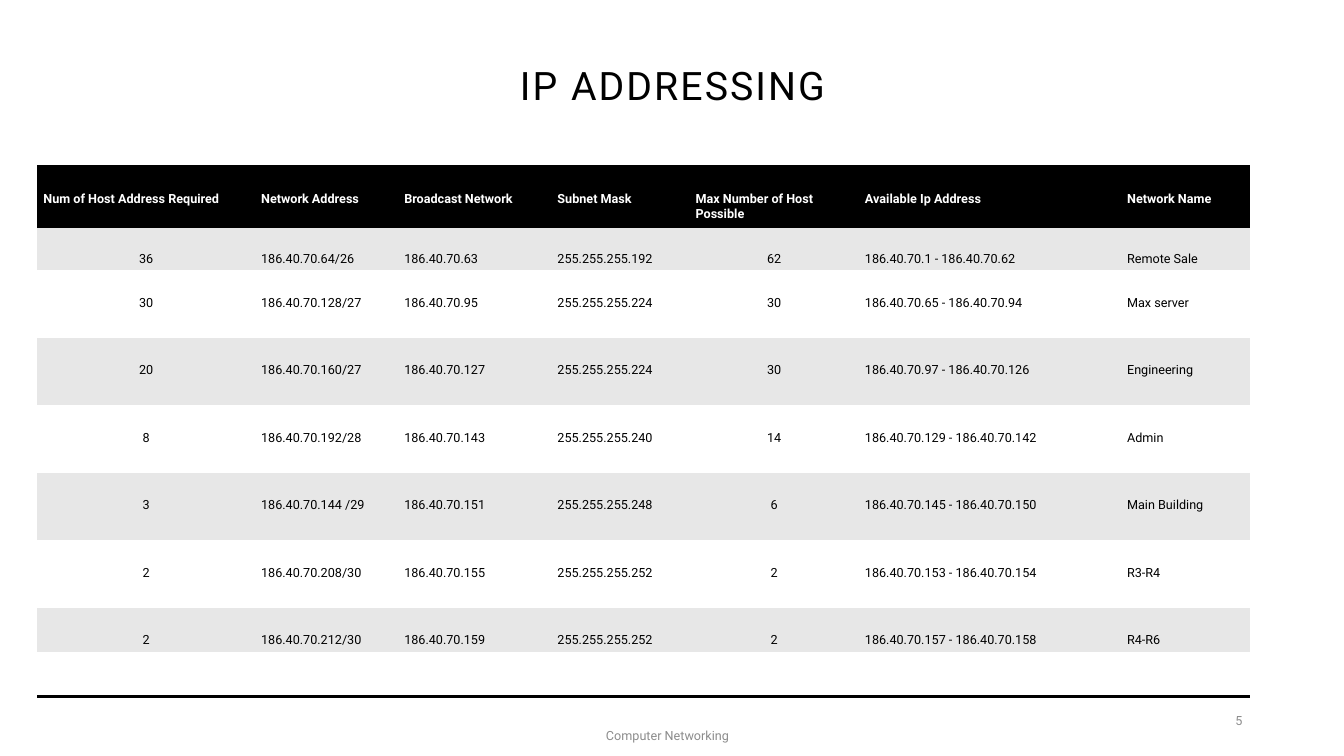
from dataclasses import astuple, dataclass

from lxml import etree
from pptx import Presentation
from pptx import util as u
from pptx.dml.color import RGBColor
from pptx.enum import text as t
from pptx.oxml.ns import qn
from pptx.slide import Slide
from pptx.table import _Cell
from pptx.text.text import TextFrame

FONT = "Roboto"
COLORS = {
    "black": "000000",
    "white": "FFFFFF",
    "band": "E7E7E7",
    "footer": "8C8C8C",
}
PLAIN_TABLE_STYLE = "{2D5ABB26-0587-4C30-8999-92F81FD0307C}"
LEFT, CENTER, RIGHT = t.PP_ALIGN.LEFT, t.PP_ALIGN.CENTER, t.PP_ALIGN.RIGHT


@dataclass
class Column:
    heading: str
    width: float
    alignment: t.PP_ALIGN = LEFT


@dataclass
class Subnet:
    hosts_required: str
    network: str
    broadcast: str
    mask: str
    hosts_possible: str
    available: str
    name: str


@dataclass
class FooterText:
    words: str
    left: float
    top: float
    width: float
    alignment: t.PP_ALIGN


COLUMNS = [
    Column("Num of Host Address Required", 2.16, CENTER),
    Column("Network Address", 1.42),
    Column("Broadcast Network", 1.52),
    Column("Subnet Mask", 1.37),
    Column("Max Number of Host Possible", 1.68, CENTER),
    Column("Available Ip Address", 2.6),
    Column("Network Name", 1.28),
]
SUBNETS = [
    Subnet("36", "186.40.70.64/26", "186.40.70.63", "255.255.255.192", "62",
           "186.40.70.1 - 186.40.70.62", "Remote Sale"),
    Subnet("30", "186.40.70.128/27", "186.40.70.95", "255.255.255.224", "30",
           "186.40.70.65 - 186.40.70.94", "Max server"),
    Subnet("20", "186.40.70.160/27", "186.40.70.127", "255.255.255.224", "30",
           "186.40.70.97 - 186.40.70.126", "Engineering"),
    Subnet("8", "186.40.70.192/28", "186.40.70.143", "255.255.255.240", "14",
           "186.40.70.129 - 186.40.70.142", "Admin"),
    Subnet("3", "186.40.70.144 /29", "186.40.70.151", "255.255.255.248", "6",
           "186.40.70.145 - 186.40.70.150", "Main Building"),
    Subnet("2", "186.40.70.208/30", "186.40.70.155", "255.255.255.252", "2",
           "186.40.70.153 - 186.40.70.154", "R3-R4"),
    Subnet("2", "186.40.70.212/30", "186.40.70.159", "255.255.255.252", "2",
           "186.40.70.157 - 186.40.70.158", "R4-R6"),
]
ROW_HEIGHTS = [0.6, 0.43] + [0.67] * 5 + [0.44, 0.44]
FOOTERS = [
    FooterText("Computer Networking", 4.37, 7.1, 4.5, CENTER),
    FooterText("5", 9.42, 6.95, 3, RIGHT),
]


def write(frame: TextFrame, words: str, size: float, color: str,
          alignment: t.PP_ALIGN, bold: bool = False) -> None:
    frame.text = words
    frame.word_wrap = True
    paragraph = frame.paragraphs[0]
    paragraph.alignment = alignment
    for run in paragraph.runs:
        run.font.name = FONT
        run.font.size = u.Pt(size)
        run.font.bold = bold
        run.font.color.rgb = RGBColor.from_string(COLORS[color])


def add_border(cell: _Cell, side: str) -> None:
    """Draw a 2 pt black border; side is lnT or lnB."""
    properties = cell._tc.get_or_add_tcPr()
    line = etree.Element(qn(f"a:{side}"), w=str(u.Pt(2)))
    fill = etree.SubElement(line, qn("a:solidFill"))
    etree.SubElement(fill, qn("a:srgbClr"), val=COLORS["black"])
    properties.insert(0, line)


def format_cell(cell: _Cell, words: str, fill: str, color: str,
                alignment: t.PP_ALIGN, bold: bool) -> None:
    cell.margin_left = cell.margin_right = u.Inches(0.06)
    cell.margin_top, cell.margin_bottom = u.Inches(0.25), u.Inches(0.03)
    cell.fill.solid()
    cell.fill.fore_color.rgb = RGBColor.from_string(COLORS[fill])
    if words:
        write(cell.text_frame, words, 9, color, alignment, bold)
    else:
        cell.margin_top = u.Inches(0.03)


def add_title(slide: Slide) -> None:
    title = slide.shapes.title
    title.left, title.top = u.Inches(0.92), u.Inches(0.15)
    title.width, title.height = u.Inches(11.5), u.Inches(1.45)
    title.text_frame.vertical_anchor = t.MSO_ANCHOR.MIDDLE
    write(title.text_frame, "IP ADDRESSING", 28, "black", CENTER)
    paragraph = title.text_frame.paragraphs[0]
    paragraph.line_spacing = 0.9
    paragraph.runs[0].font._element.set("spc", "150")


def add_address_table(slide: Slide) -> None:
    rows = [tuple(column.heading for column in COLUMNS)]
    rows += [astuple(subnet) for subnet in SUBNETS]
    rows.append(("",) * len(COLUMNS))
    frame = slide.shapes.add_table(
        len(rows), len(COLUMNS), u.Inches(0.37), u.Inches(1.65),
        u.Inches(sum(column.width for column in COLUMNS)),
        u.Inches(sum(ROW_HEIGHTS)))
    table = frame.table
    table._tbl.tblPr.find(qn("a:tableStyleId")).text = PLAIN_TABLE_STYLE
    for table_column, column in zip(table.columns, COLUMNS):
        table_column.width = u.Inches(column.width)
    for row_index, (words, height) in enumerate(zip(rows, ROW_HEIGHTS)):
        table.rows[row_index].height = u.Inches(height)
        is_header = row_index == 0
        band = "band" if row_index % 2 else "white"
        for column_index, column in enumerate(COLUMNS):
            cell = table.cell(row_index, column_index)
            format_cell(cell, words[column_index],
                        "black" if is_header else band,
                        "white" if is_header else "black",
                        LEFT if is_header else column.alignment, is_header)
            if is_header or row_index == len(rows) - 1:
                add_border(cell, "lnB")
            if is_header:
                add_border(cell, "lnT")


def add_footer(slide: Slide, footer: FooterText) -> None:
    box = slide.shapes.add_textbox(u.Inches(footer.left), u.Inches(footer.top),
                                   u.Inches(footer.width), u.Inches(0.4))
    box.text_frame.vertical_anchor = t.MSO_ANCHOR.MIDDLE
    write(box.text_frame, footer.words, 9, "footer", footer.alignment)
    box.text_frame.paragraphs[0].space_after = u.Pt(6)


def main() -> None:
    presentation = Presentation()
    presentation.slide_width = u.Inches(13.33)
    presentation.slide_height = u.Inches(7.5)
    slide = presentation.slides.add_slide(presentation.slide_layouts[5])
    add_title(slide)
    for footer in FOOTERS:
        add_footer(slide, footer)
    add_address_table(slide)
    presentation.save("out.pptx")


if __name__ == "__main__":
    main()
